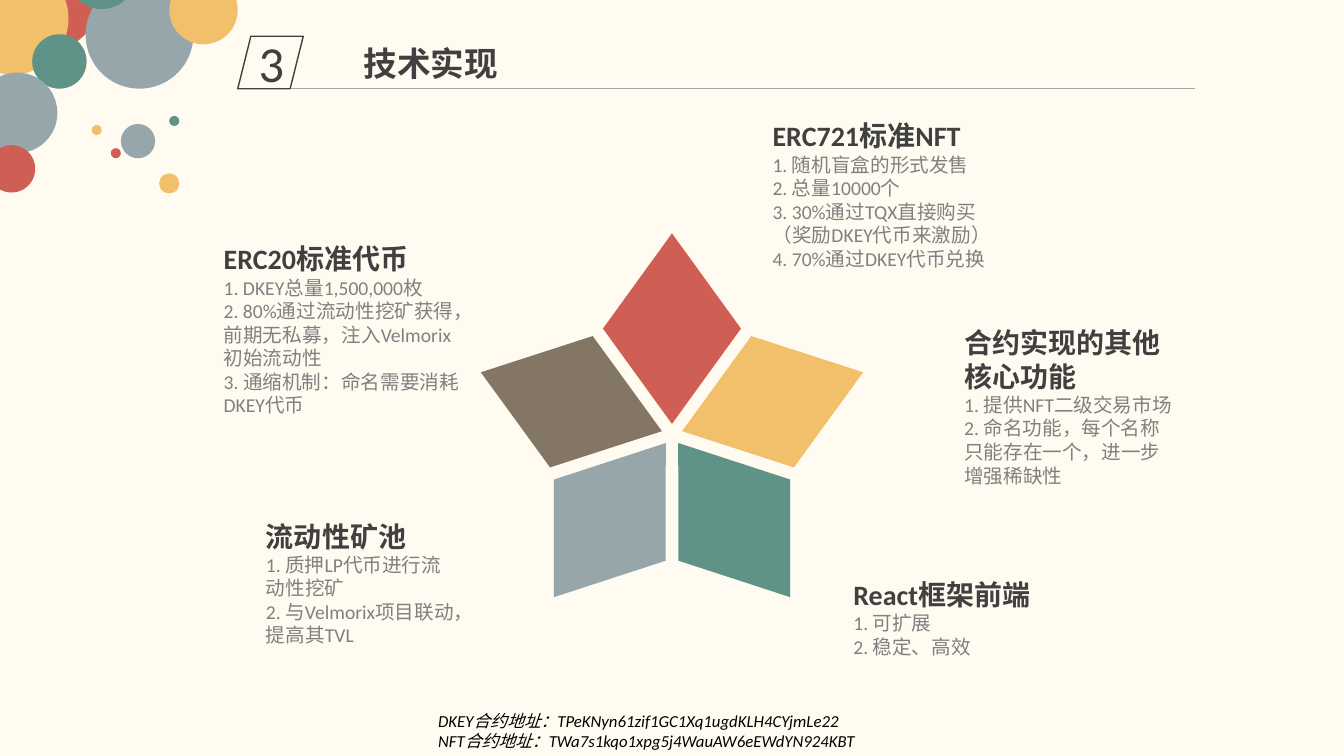
import math
from dataclasses import dataclass

import pptx
import pptx.dml.color
import pptx.enum.dml
import pptx.enum.shapes
import pptx.enum.text
import pptx.oxml.ns
import pptx.util
from lxml import etree
from pptx.util import Inches

SHAPE = pptx.enum.shapes.MSO_SHAPE
ALIGN = pptx.enum.text.PP_ALIGN
ANCHOR = pptx.enum.text.MSO_ANCHOR
qn = pptx.oxml.ns.qn


@dataclass(frozen=True)
class Theme:
    latin: str = "Calibri"
    cjk: str = "Noto Sans CJK SC"
    background: str = "FFFBF0"
    red: str = "CF5F55"
    yellow: str = "F2C06B"
    green: str = "5F9387"
    gray: str = "97A6AB"
    brown: str = "837664"
    dark: str = "404040"
    muted: str = "808080"
    rule: str = "A6A6A6"
    black: str = "000000"
    number_size: int = 36
    title_size: int = 24
    heading_size: int = 20
    item_size: int = 14
    note_size: int = 12


def rgb(value):
    return pptx.dml.color.RGBColor.from_string(value)


def write(frame, text, *, size, color, font, bold=False, italic=False,
          align=ALIGN.LEFT, first=True):
    """Write one paragraph; first=False appends it to the text already there."""
    paragraph = frame.paragraphs[0] if first else frame.add_paragraph()
    paragraph.alignment = align
    paragraph.space_before = pptx.util.Pt(0)
    props = paragraph._p.get_or_add_pPr()
    props.set("marL", "0")
    props.set("indent", "0")
    etree.SubElement(props, qn("a:buNone"))
    run = paragraph.add_run()
    run.text = text
    run.font.size = pptx.util.Pt(size)
    run.font.bold, run.font.italic = bold, italic
    run.font.color.rgb = rgb(color)
    run.font.name = font
    etree.SubElement(run._r.get_or_add_rPr(), qn("a:ea")).set("typeface", font)


class SlideBuilder:
    def __init__(self, deck, theme):
        self.theme = theme
        self.slide = deck.slides.add_slide(deck.slide_layouts.get_by_name("Comparison"))
        self.slide.background.fill.solid()
        self.slide.background.fill.fore_color.rgb = rgb(theme.background)
        title = self.slide.shapes.title
        self.free_bodies = [holder for holder in self.slide.placeholders
                            if holder.shape_id != title.shape_id]

    def place(self, holder, left, top, width, height):
        holder.left, holder.top = Inches(left), Inches(top)
        holder.width, holder.height = Inches(width), Inches(height)
        frame = holder.text_frame
        frame.word_wrap = True
        frame.auto_size = pptx.enum.text.MSO_AUTO_SIZE.NONE
        frame.vertical_anchor = ANCHOR.TOP
        return frame

    def text_box(self, *box):
        return self.place(self.slide.shapes.add_textbox(0, 0, 0, 0), *box)

    def title(self, text, *box):
        frame = self.place(self.slide.shapes.title, *box)
        write(frame, text, size=self.theme.title_size, color=self.theme.dark,
              font=self.theme.cjk, bold=True)

    def list_block(self, heading, items, *box):
        # The layout has four bodies; a further block gets a text box
        if self.free_bodies:
            frame = self.place(self.free_bodies.pop(0), *box)
        else:
            frame = self.text_box(*box)
        theme = self.theme
        write(frame, heading, size=theme.heading_size, color=theme.dark,
              font=theme.latin, bold=True)
        for number, item in enumerate(items, 1):
            write(frame, f"{number}. {item}", size=theme.item_size, color=theme.muted,
                  font=theme.latin, first=False)

    def note(self, lines, *box):
        frame = self.text_box(*box)
        for index, line in enumerate(lines):
            write(frame, line, size=self.theme.note_size, color=self.theme.black,
                  font=self.theme.latin, italic=True, first=index == 0)

    def shape(self, kind, left, top, width, height, fill=None, line=None, parent=None):
        shapes = (parent or self.slide).shapes
        shape = shapes.add_shape(kind, Inches(left), Inches(top),
                                 Inches(width), Inches(height))
        shape.shadow.inherit = False
        if fill:
            shape.fill.solid()
            shape.fill.fore_color.rgb = rgb(fill)
        else:
            shape.fill.background()
        if line:
            shape.line.color.rgb = rgb(line)
            shape.line.width = pptx.util.Pt(1)
        else:
            shape.line.fill.background()
        return shape

    def badge(self, number, *box):
        badge = self.shape(SHAPE.PARALLELOGRAM, *box, line=self.theme.dark)
        badge.text_frame.vertical_anchor = ANCHOR.MIDDLE
        write(badge.text_frame, number, size=self.theme.number_size,
              color=self.theme.dark, font=self.theme.latin, align=ALIGN.CENTER)

    def rule(self, left, right, y):
        rule = self.slide.shapes.add_connector(
            pptx.enum.shapes.MSO_CONNECTOR.STRAIGHT,
            Inches(left), Inches(y), Inches(right), Inches(y))
        rule.line.color.rgb = rgb(self.theme.rule)
        rule.line.width = pptx.util.Pt(0.5)
        etree.SubElement(rule._element.spPr, qn("a:effectLst"))

    def petals(self, center_x, center_y, radius, width, height, colors):
        step = 360 / len(colors)
        for index, color in enumerate(colors):
            angle = math.radians(index * step)
            x = center_x + radius * math.sin(angle)
            y = center_y - radius * math.cos(angle)
            petal = self.shape(SHAPE.DIAMOND, x - width / 2, y - height / 2,
                               width, height, fill=color)
            petal.rotation = index * step

    def bubbles(self, circles):
        group = self.slide.shapes.add_group_shape()
        for left, top, size, color in circles:
            self.shape(SHAPE.OVAL, left, top, size, size, fill=color, parent=group)


def main():
    theme = Theme()
    deck = pptx.Presentation()
    deck.slide_width, deck.slide_height = Inches(13.34), Inches(7.5)
    page = SlideBuilder(deck, theme)

    # Five-petal star
    page.petals(6.67, 4.31, 1.05, 1.37, 1.89,
                [theme.red, theme.yellow, theme.green, theme.gray, theme.brown])

    # Topic lists around the star
    page.list_block("ERC20标准代币", [
        "DKEY总量1,500,000枚",
        "80%通过流动性挖矿获得，前期无私募，注入Velmorix初始流动性",
        "通缩机制：命名需要消耗DKEY代币"], 2.12, 2.35, 2.63, 1.85)
    page.list_block("流动性矿池", [
        "质押LP代币进行流动性挖矿",
        "与Velmorix项目联动，提高其TVL"], 2.54, 5.1, 2.12, 1.38)
    page.list_block("React框架前端", ["可扩展", "稳定、高效"], 8.37, 5.68, 2.12, 0.91)
    page.list_block("合约实现的其他核心功能", [
        "提供NFT二级交易市场",
        "命名功能，每个名称只能存在一个，进一步增强稀缺性"], 9.47, 3.18, 2.34, 1.72)
    page.list_block("ERC721标准NFT", [
        "随机盲盒的形式发售",
        "总量10000个",
        "30%通过TQX直接购买（奖励DKEY代币来激励）",
        "70%通过DKEY代币兑换"], 7.57, 1.13, 2.53, 1.61)

    # Corner bubbles: left, top, diameter, colour
    page.bubbles([
        (0.04, -0.44, 0.93, theme.red), (-0.43, -0.37, 1.11, theme.yellow),
        (0.32, 0.34, 0.54, theme.green), (-0.23, 0.72, 0.8, theme.gray),
        (0.85, -0.19, 1.07, theme.gray), (0.67, -0.59, 0.68, theme.green),
        (-0.12, 1.44, 0.47, theme.red), (1.2, 1.23, 0.34, theme.gray),
        (1.1, 1.47, 0.1, theme.red), (0.91, 1.24, 0.1, theme.yellow),
        (1.68, 1.15, 0.1, theme.green), (1.58, 1.72, 0.2, theme.yellow),
        (1.68, -0.24, 0.68, theme.yellow)])

    # Header
    page.rule(2.84, 11.86, 0.88)
    page.badge("3", 2.36, 0.36, 0.65, 0.52)
    page.title("技术实现", 3.51, 0.38, 5.13, 0.5)

    # Contract addresses
    page.note(["DKEY合约地址：TPeKNyn61zif1GC1Xq1ugdKLH4CYjmLe22",
               "NFT合约地址：TWa7s1kqo1xpg5j4WauAW6eEWdYN924KBT"], 4.25, 7, 4.84, 0.5)

    deck.save("out.pptx")


if __name__ == "__main__":
    main()
